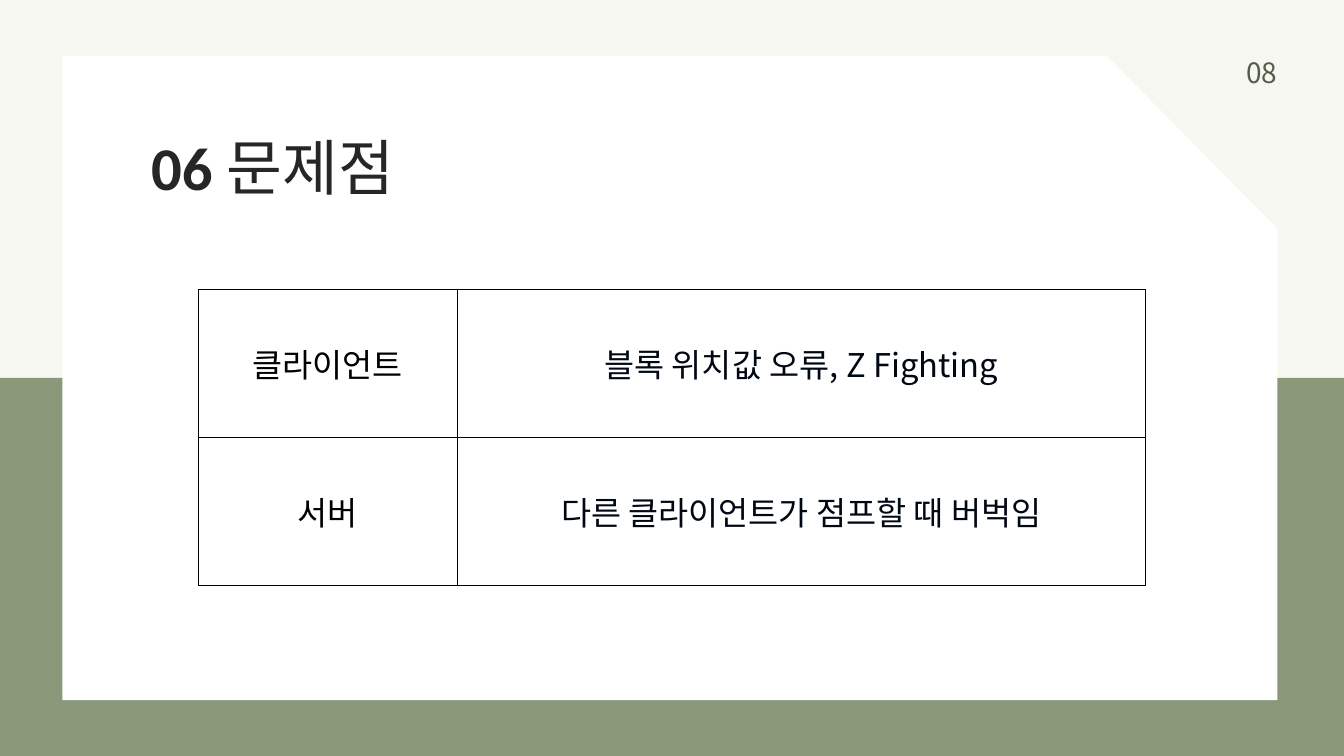
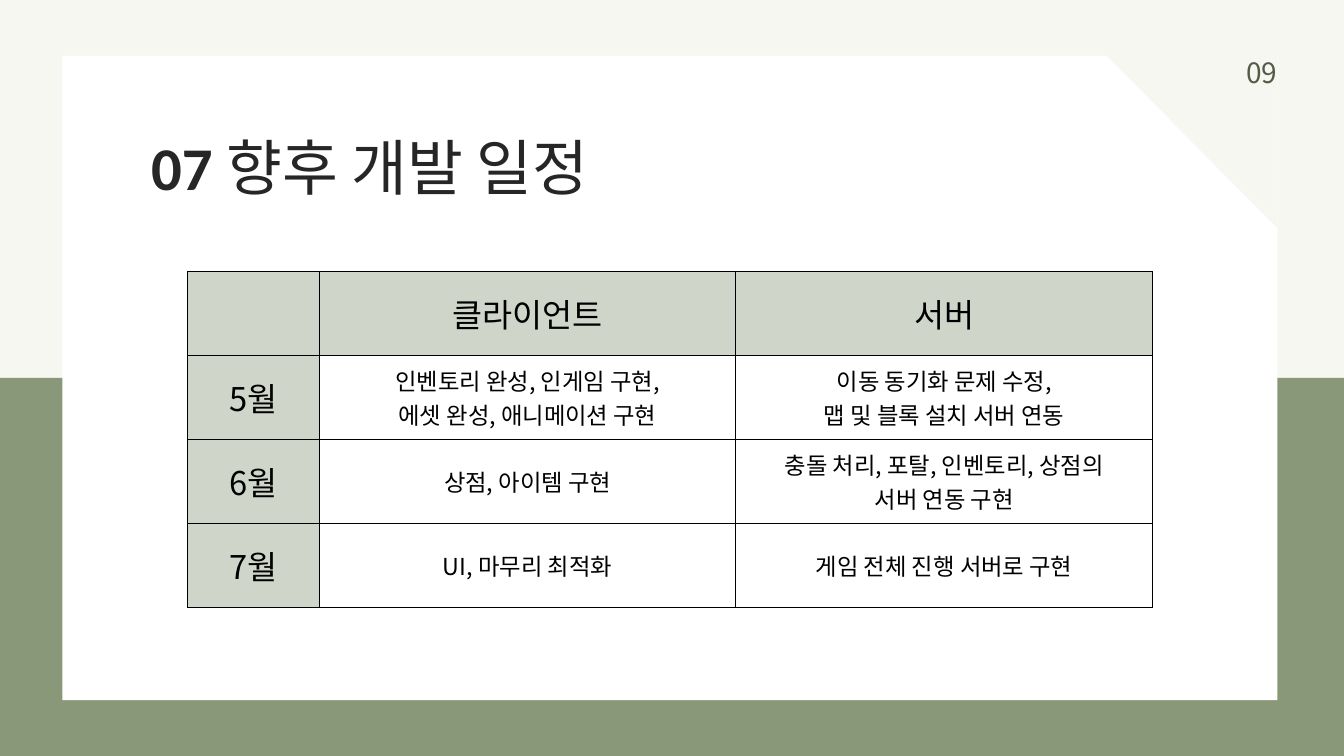
import pptx
import pptx.dml.color
import pptx.enum.shapes
import pptx.enum.text
import pptx.oxml
import pptx.oxml.ns
import pptx.util

Inches = pptx.util.Inches
Pt = pptx.util.Pt
SHAPE = pptx.enum.shapes.MSO_SHAPE
ALIGN = pptx.enum.text.PP_ALIGN
ANCHOR = pptx.enum.text.MSO_ANCHOR
AUTO_SIZE = pptx.enum.text.MSO_AUTO_SIZE

CREAM, GREEN, WHITE = "F7F7F2", "899878", "FFFFFF"
HEADING, BLACK, NAVY = "262626", "000000", "000814"
HEADER_FILL, PAGE_COLOR = "CFD5C9", "525C46"
BODY_FONT, TITLE_FONT = "Noto Sans CJK KR", "Calibri"

SLIDE_SIZE = (20, 11.25)
CARD = (0.93, 0.83, 18.08, 9.59)

PROBLEMS = [
    ["클라이언트", "블록 위치값 오류, Z Fighting"],
    ["서버", "다른 클라이언트가 점프할 때 버벅임"],
]
SCHEDULE = [
    ["", "클라이언트", "서버"],
    ["5월", "인벤토리 완성, 인게임 구현,\v에셋 완성, 애니메이션 구현",
     "이동 동기화 문제 수정,\v맵 및 블록 설치 서버 연동"],
    ["6월", "상점, 아이템 구현", "충돌 처리, 포탈, 인벤토리, 상점의\v서버 연동 구현"],
    ["7월", "UI, 마무리 최적화", "게임 전체 진행 서버로 구현"],
]


def rgb(value):
    """Return a colour from a hex string."""
    return pptx.dml.color.RGBColor.from_string(value)


def inches(box):
    """Convert a box of numbers to lengths."""
    return [Inches(n) for n in box]


def style_run(r, size, color, font=BODY_FONT, bold=False):
    """Set the size, colour and typefaces of a run."""
    r.font.size = Pt(size)
    r.font.bold = bold
    r.font.color.rgb = rgb(color)
    r.font.name = font
    ea = pptx.oxml.parse_xml(
        f'<a:ea {pptx.oxml.ns.nsdecls("a")} typeface="{BODY_FONT}"/>')
    r.font._element.find(pptx.oxml.ns.qn("a:latin")).addnext(ea)


def clear_frame(tf):
    """Give a text frame no margins, wrapping and a top anchor."""
    tf.margin_left = tf.margin_top = tf.margin_right = tf.margin_bottom = 0
    tf.word_wrap = True
    tf.auto_size = AUTO_SIZE.NONE
    tf.vertical_anchor = ANCHOR.TOP


def add_block(slide, kind, box, color):
    """Add a plain filled shape without outline."""
    sp = slide.shapes.add_shape(kind, *inches(box))
    sp.shadow.inherit = False
    sp.fill.solid()
    sp.fill.fore_color.rgb = rgb(color)
    sp.line.fill.background()
    return sp


def add_card(slide, box):
    """Draw the green band and the white card with its cut corner."""
    left, top, width, _ = box
    slide_width, slide_height = SLIDE_SIZE
    half = slide_height / 2
    cut_width, cut_height = 2.54, 2.57
    add_block(slide, SHAPE.RECTANGLE, (0, half, slide_width, half), GREEN)
    add_block(slide, SHAPE.RECTANGLE, box, WHITE)
    corner = add_block(slide, SHAPE.RIGHT_TRIANGLE,
                       (left + width - cut_width, top, cut_width, cut_height), CREAM)
    corner.rotation = 180


def add_title(slide, box, number, heading):
    """Place the numbered heading inside the card."""
    left, top, _, _ = box
    title = slide.shapes.title
    title.left, title.top, title.width, title.height = inches(
        (left + 1.32, top + 0.54, 12.25, 1.5))
    tf = title.text_frame
    clear_frame(tf)
    p = tf.paragraphs[0]
    p.alignment = ALIGN.LEFT
    p.line_spacing = Pt(119)
    for text, bold in ((number + " ", True), (heading, False)):
        r = p.add_run()
        r.text = text
        style_run(r, 65, HEADING, TITLE_FONT, bold)


def add_page_number(slide, box, number):
    """Right-align the page number in the card's top corner."""
    left, top, width, _ = box
    sp = slide.shapes.add_textbox(*inches((left + width - 1.35, top, 1.35, 0.5)))
    tf = sp.text_frame
    clear_frame(tf)
    tf.text = number
    p = tf.paragraphs[0]
    p.alignment = ALIGN.RIGHT
    style_run(p.runs[0], 30, PAGE_COLOR)


def add_borders(cell):
    """Draw thin black lines on all sides of a cell."""
    for side in "LRTB":
        cell._tc.get_or_add_tcPr().append(pptx.oxml.parse_xml(
            f'<a:ln{side} {pptx.oxml.ns.nsdecls("a")} w="{Pt(1)}"><a:solidFill>'
            f'<a:srgbClr val="{BLACK}"/></a:solidFill></a:ln{side}>'))


def fill_cell(cell, text, size, color, fill):
    """Write and format one table cell."""
    add_borders(cell)
    if fill:
        cell.fill.solid()
        cell.fill.fore_color.rgb = rgb(fill)
    else:
        cell.fill.background()
    cell.vertical_anchor = ANCHOR.MIDDLE
    tf = cell.text_frame
    tf.text = text
    p = tf.paragraphs[0]
    p.alignment = ALIGN.CENTER
    for r in p.runs:
        style_run(r, size, color)


def add_grid(slide, left, top, col_widths, row_height, rows, cell_style):
    """Add a table whose cells get size, colour and fill from cell_style."""
    box = (left, top, sum(col_widths), row_height * len(rows))
    table = slide.shapes.add_table(len(rows), len(col_widths), *inches(box)).table
    table.first_row = table.horz_banding = False
    for column, width in zip(table.columns, col_widths):
        column.width = Inches(width)
    for i, row in enumerate(rows):
        table.rows[i].height = Inches(row_height)
        for j, text in enumerate(row):
            fill_cell(table.cell(i, j), text, *cell_style(i, j))


def problem_style(row, col):
    """Return the cell style of the problem table."""
    return 35, NAVY if col else BLACK, None


def schedule_style(row, col):
    """Return the cell style of the schedule table."""
    if row == 0 or col == 0:
        return 35, BLACK, HEADER_FILL
    return 25, BLACK, None


def add_content_slide(prs, number, heading, page):
    """Add a slide with the shared card, heading and page number."""
    slide = prs.slides.add_slide(prs.slide_layouts[5])
    add_card(slide, CARD)
    add_title(slide, CARD, number, heading)
    add_page_number(slide, CARD, page)
    tree = slide.shapes._spTree
    tree.append(slide.shapes.title._element)
    return slide


def main():
    """Build the two slides and save them."""
    prs = pptx.Presentation()
    prs.slide_width, prs.slide_height = inches(SLIDE_SIZE)
    background = prs.slide_master.background.fill
    background.solid()
    background.fore_color.rgb = rgb(CREAM)

    slide = add_content_slide(prs, "06", "문제점", "08")
    add_grid(slide, 2.95, 4.31, (3.85, 10.25), 2.2, PROBLEMS, problem_style)

    slide = add_content_slide(prs, "07", "향후 개발 일정", "09")
    add_grid(slide, 2.79, 4.04, (1.96, 6.2, 6.2), 1.25, SCHEDULE, schedule_style)

    prs.save("out.pptx")


if __name__ == "__main__":
    main()
